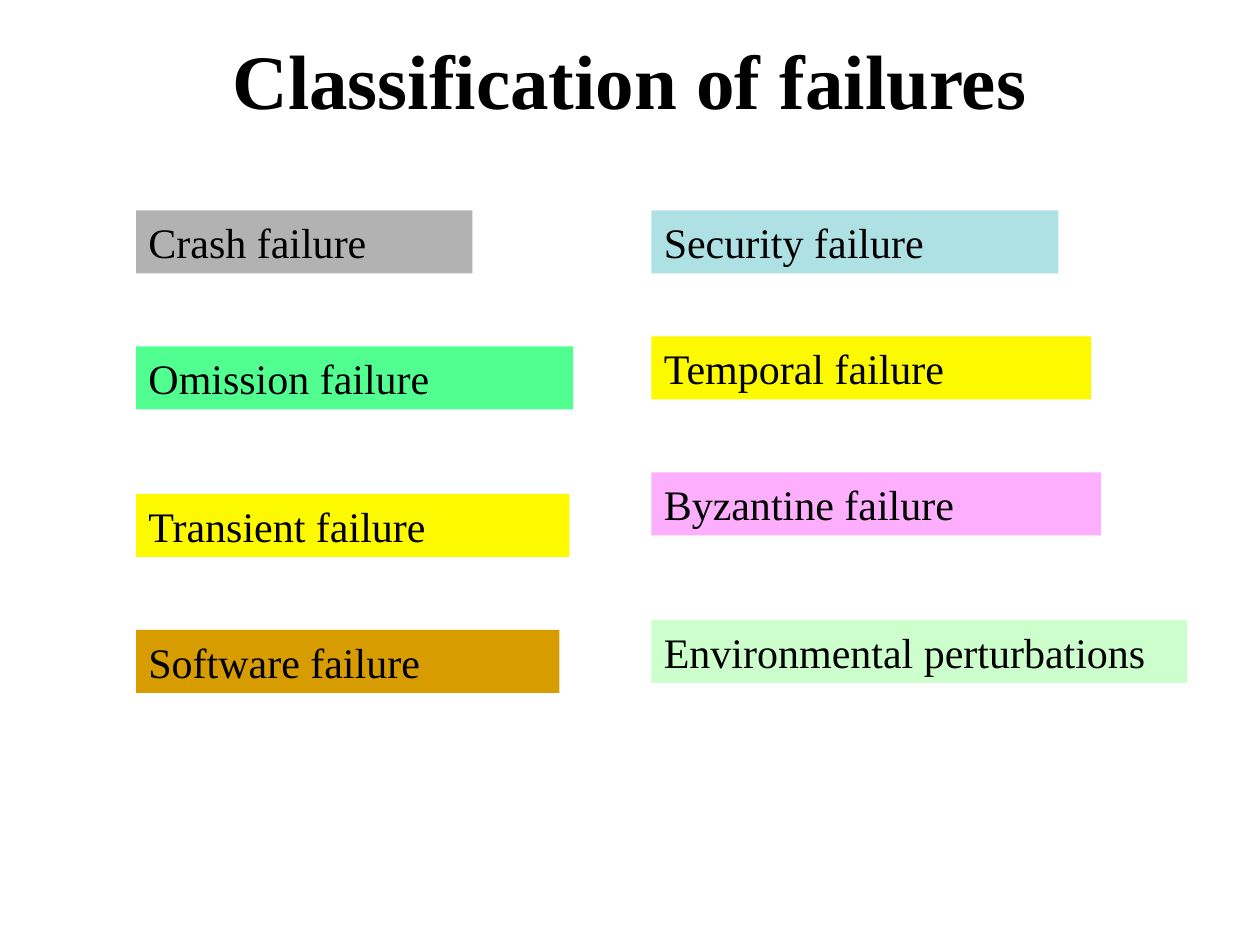
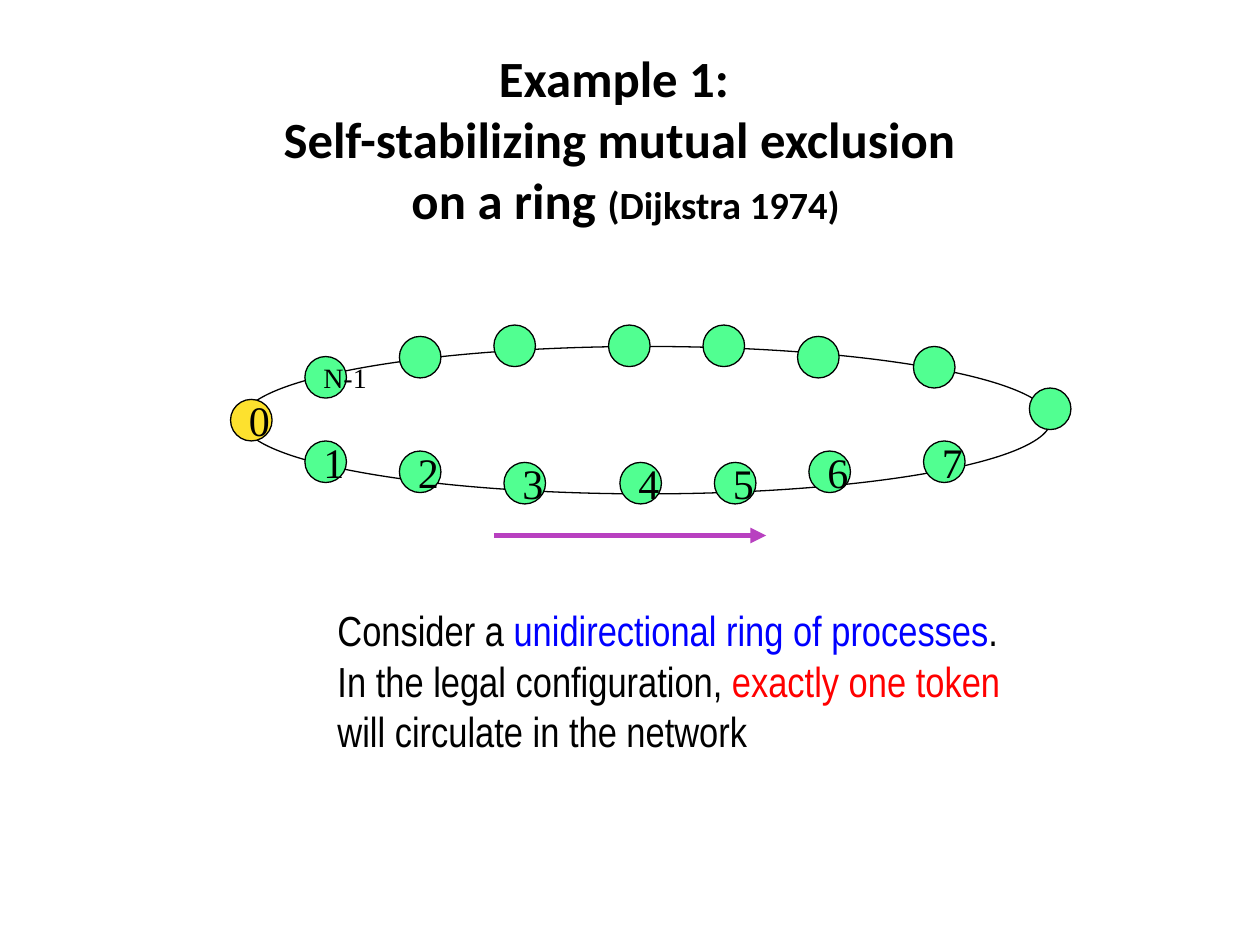
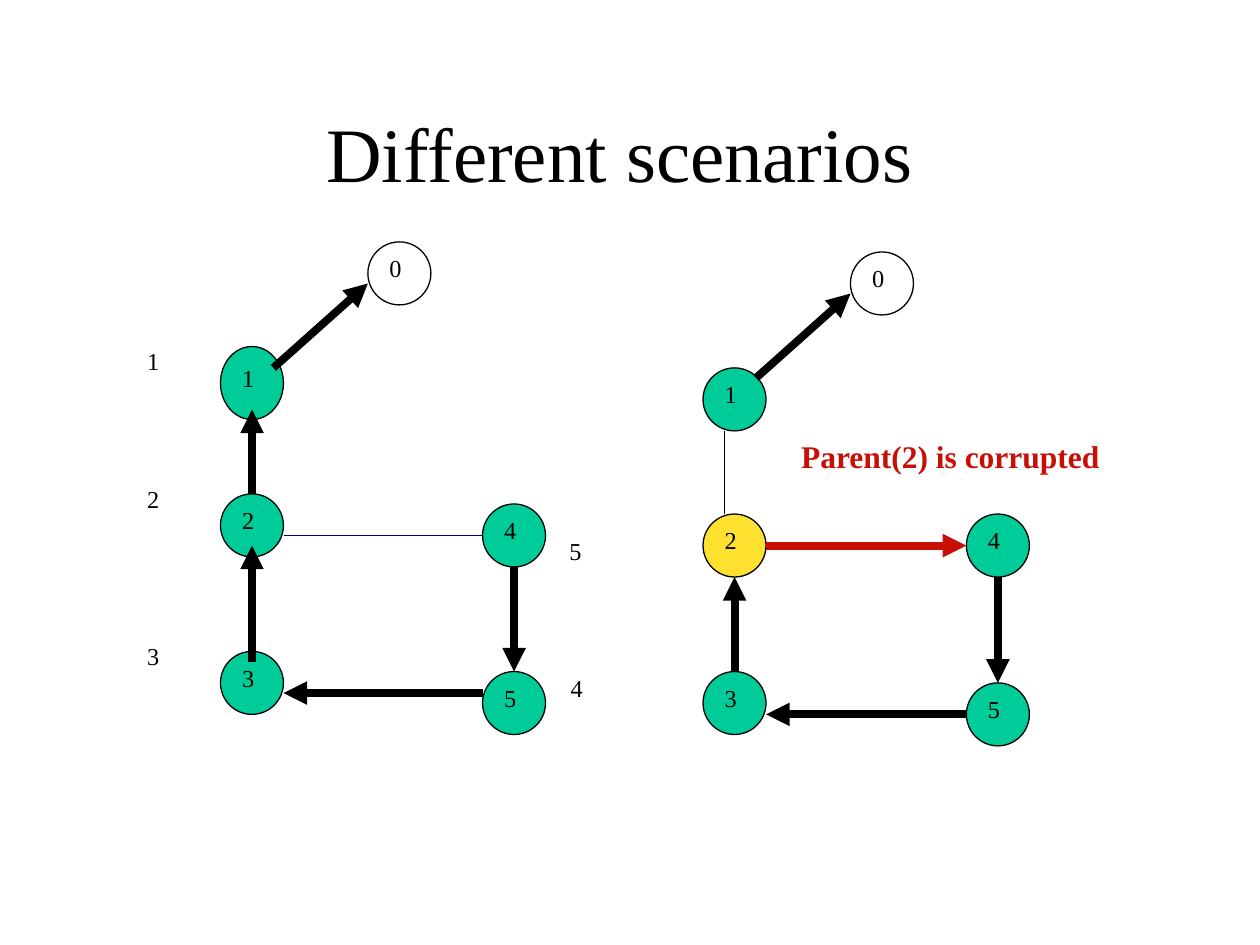
from lxml.etree import SubElement
from pptx import Presentation
from pptx.dml.color import RGBColor
from pptx.enum.shapes import MSO_CONNECTOR as Connector, MSO_SHAPE as Preset
from pptx.enum.text import MSO_ANCHOR as Anchor, MSO_AUTO_SIZE as AutoSize, PP_ALIGN as Align
from pptx.oxml.ns import qn
from pptx.util import Inches, Pt

BLACK, WHITE, RED = "000000", "FFFFFF", "C70F05"
YELLOW, GOLD, MINT, TEAL = "FDFA00", "FDE12E", "51FF91", "00CC99"
SERIF = "Times New Roman"
RAISED = 30000
GROW = AutoSize.SHAPE_TO_FIT_TEXT


def color(value):
    return RGBColor.from_string(value)


def apply(target, values):
    for key, value in values.items():
        setattr(target, key, value)


class Deck:
    def __init__(self):
        self.show = Presentation()
        apply(self.show, {"slide_width": Inches(10), "slide_height": Inches(7.5)})
        self.slide = None

    def new_slide(self):
        self.slide = self.show.slides.add_slide(self.show.slide_layouts[6])

    def fill_text(self, shape, paragraphs, frame, align=Align.LEFT, baseline=None, **font):
        text = shape.text_frame
        apply(text, frame)
        for number, runs in enumerate(paragraphs):
            paragraph = text.add_paragraph() if number else text.paragraphs[0]
            paragraph.alignment = align
            for words, changes in runs:
                look = {"size": 24, "name": SERIF, "bold": False, "ink": BLACK, **font, **changes}
                ink, look["size"] = look.pop("ink"), Pt(look["size"])
                for index, line in enumerate(words.split("\n")):
                    if index:
                        paragraph.add_line_break()
                    run = paragraph.add_run()
                    run.text = line
                    apply(run.font, look)
                    run.font.color.rgb = color(ink)
                    if baseline:
                        run._r.get_or_add_rPr().set("baseline", str(baseline))

    def text(self, box, paragraphs, frame=None, **look):
        label = self.slide.shapes.add_textbox(*map(Inches, box))
        frame = frame or {"word_wrap": False, "auto_size": GROW}
        self.fill_text(label, paragraphs, frame, **look)

    def title(self, box, runs, **look):
        frame = {"word_wrap": True, "vertical_anchor": Anchor.MIDDLE}
        self.text(box, [runs], frame, align=Align.CENTER, **look)

    def shape(self, preset, box, fill=None, outline=None):
        shape = self.slide.shapes.add_shape(preset, *map(Inches, box))
        shape.shadow.inherit = False
        for part, value in ((shape.fill, fill), (shape.line.fill, outline)):
            if value:
                part.solid()
                part.fore_color.rgb = color(value)
            else:
                part.background()
        if outline:
            shape.line.width = Pt(0.75)
        return shape

    def band(self, box, label, fill):
        band = self.shape(Preset.RECTANGLE, box, fill)
        frame = {"word_wrap": True, "vertical_anchor": Anchor.TOP, "auto_size": GROW}
        self.fill_text(band, [[(label, {})]], frame)

    def node(self, box, label, fill, **look):
        node = self.shape(Preset.OVAL, box, fill, BLACK)
        if label:
            frame = {"word_wrap": False, "vertical_anchor": Anchor.MIDDLE}
            self.fill_text(node, [[(label, {})]], frame, **look)

    def line(self, ends, ink=BLACK, width=4.5, arrow=True):
        line = self.slide.shapes.add_connector(Connector.STRAIGHT, *map(Inches, ends))
        line.line.color.rgb = color(ink)
        line.line.width = Pt(width)
        properties = line._element.spPr
        if arrow:
            SubElement(properties.find(qn("a:ln")), qn("a:tailEnd"), type="triangle")
        SubElement(properties, qn("a:effectLst"))


def failures(deck):
    deck.new_slide()
    deck.title((0.75, 0, 8.5, 1.25), [("Classification of failures", {})], size=44, bold=True)
    columns = {
        1.08: [
            ("Crash failure", 1.67, 2.67, "B2B2B2"),
            ("Omission failure", 2.75, 3.47, MINT),
            ("Transient failure", 3.92, 3.44, YELLOW),
            ("Software failure", 5, 3.36, "D79C00"),
        ],
        5.17: [
            ("Security failure", 1.67, 3.23, "AEE1E3"),
            ("Temporal failure", 2.67, 3.49, YELLOW),
            ("Byzantine failure", 3.75, 3.57, "FDAEFD"),
            ("Environmental perturbations", 4.92, 4.25, "CCFFCC"),
        ],
    }
    for left, kinds in columns.items():
        for kind, top, width, fill in kinds:
            deck.band((left, top, width, 0.5), kind, fill)


def token_ring(deck):
    deck.new_slide()
    heading = "Example 1: \nSelf-stabilizing mutual exclusion\n on a ring "
    deck.title((0.42, 0.33, 9, 1.53), [(heading, {}), ("(Dijkstra 1974)", {"size": 22})],
               size=29, name="Calibri", bold=True)
    deck.shape(Preset.OVAL, (1.92, 2.75, 6.42, 1.17), outline=BLACK)
    numbered = [(1.83, 3.17), (2.42, 3.5), (3.17, 3.58), (4, 3.67),
                (4.92, 3.67), (5.67, 3.67), (6.42, 3.58), (7.33, 3.5)]
    unnumbered = [(8.17, 3.08), (7.25, 2.75), (6.33, 2.67), (5.58, 2.58),
                  (4.83, 2.58), (3.92, 2.58), (3.17, 2.67)]
    for process, place in enumerate(numbered):
        deck.node((*place, 0.33, 0.33), str(process), MINT if process else GOLD)
    for place in unnumbered:
        deck.node((*place, 0.33, 0.33), "", MINT)
    deck.node((2.42, 2.83, 0.33, 0.33), "N-1", MINT, size=16)
    deck.line((3.92, 4.25, 6.08, 4.25), "B840C0", 3)
    deck.text((2.58, 4.75, 5.52, 1.3), [
        [("Consider a ", {}), ("unidirectional ring of processes", {"ink": "0000FF"}), (".", {})],
        [("In the legal configuration, ", {}), ("exactly one token", {"ink": "FF0000"})],
        [("will circulate in the network", {})],
    ], name="Arial Narrow")


def scenarios(deck):
    deck.new_slide()
    deck.title((0.67, 0.58, 8.5, 1.25), [("Different scenarios", {})], size=44)
    correct = [(2.92, 1.92), (1.75, 2.75), (1.75, 3.92), (1.75, 5.17), (3.83, 4), (3.83, 5.33)]
    corrupted = [(6.75, 2), (5.58, 2.92), (5.58, 4.08), (5.58, 5.33), (7.67, 4.08), (7.67, 5.42)]
    for tree, fills in ((correct, {0: WHITE}), (corrupted, {0: WHITE, 2: GOLD})):
        for number, place in enumerate(tree):
            height = 0.58 if place == (1.75, 2.75) else 0.5
            deck.node((*place, 0.5, height), str(number), fills.get(number, TEAL), baseline=RAISED)
    parent_links = [
        (2, 5.25, 2, 4.33), (2, 3.92, 2, 3.25), (2.17, 2.92, 2.92, 2.25),
        (3.83, 5.5, 2.25, 5.5), (4.08, 4.5, 4.08, 5.33),
        (5.83, 5.33, 5.83, 4.58), (6, 3, 6.75, 2.33),
        (7.67, 5.67, 6.08, 5.67), (7.92, 4.58, 7.92, 5.42),
    ]
    for link in parent_links:
        deck.line(link)
    deck.line((6.08, 4.33, 7.67, 4.33), RED)
    deck.line((2.25, 4.25, 3.83, 4.25), "000090", 0.75, arrow=False)
    deck.line((5.75, 4.08, 5.75, 3.42), BLACK, 0.75, arrow=False)
    levels = [("1", 1.07, 2.66), ("2", 1.07, 3.75), ("3", 1.07, 5), ("4", 4.43, 5.25), ("5", 4.42, 4.17)]
    for level, left, top in levels:
        deck.text((left, top, 0.29, 0.5), [[(level, {})]], baseline=RAISED)
    deck.text((6.26, 3.42, 2.57, 0.4), [[("Parent(2) is corrupted", {})]], size=18, bold=True, ink=RED)


def main():
    deck = Deck()
    for build in (failures, token_ring, scenarios):
        build(deck)
    deck.show.save("out.pptx")


if __name__ == "__main__":
    main()
